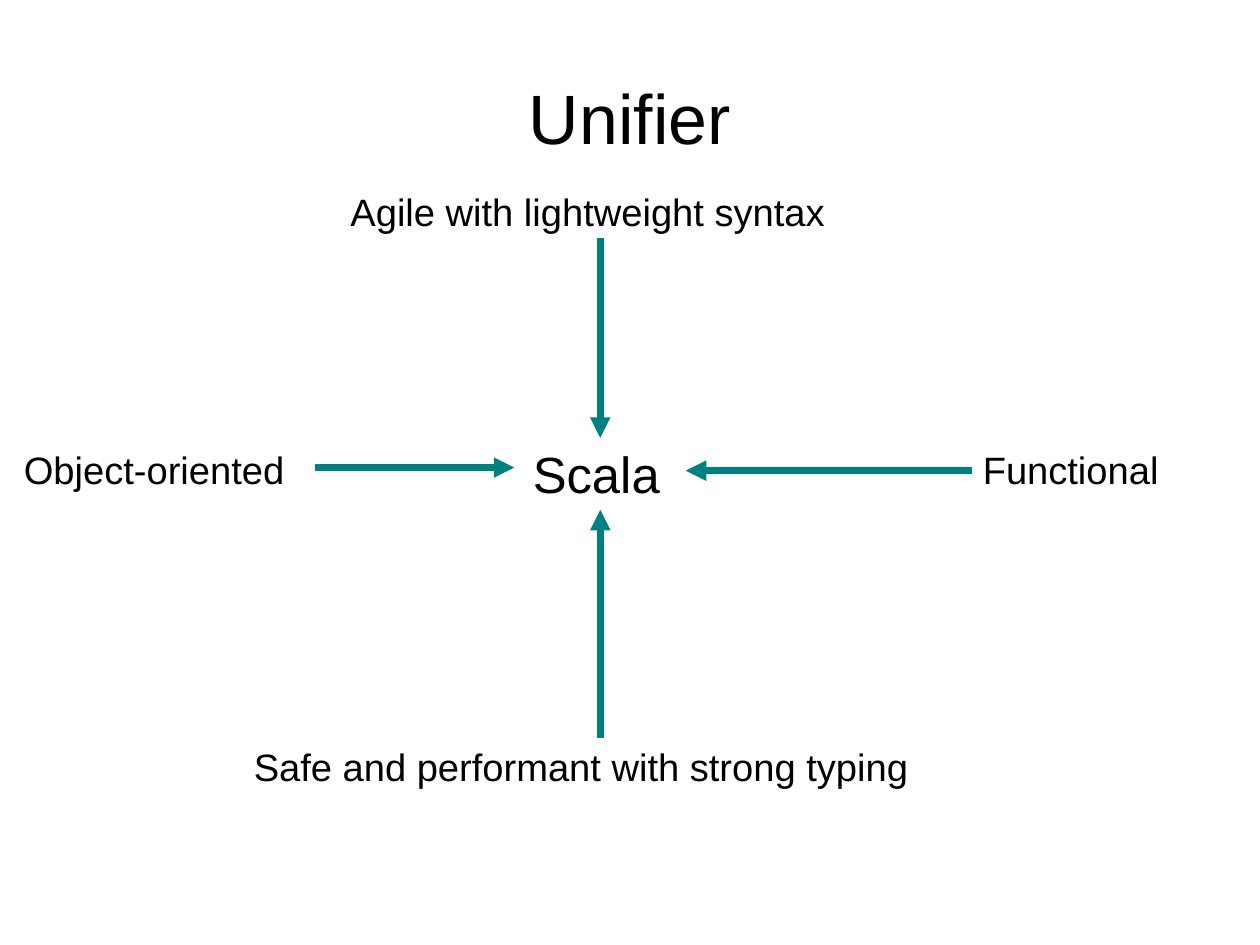
from typing import NamedTuple

from lxml.etree import SubElement
from pptx import Presentation
from pptx.dml.color import RGBColor
from pptx.enum.shapes import MSO_CONNECTOR
from pptx.enum.text import MSO_ANCHOR, PP_ALIGN
from pptx.oxml.ns import qn
from pptx.slide import Slide
from pptx.text.text import TextFrame
from pptx.util import Cm, Pt

COLORS = {"text": "000000", "arrow": "008080"}
FONT = "Arial"
LABEL_HEIGHT = 1.52
CENTER_X = 13.34


class Label(NamedTuple):
    text: str
    left: float
    top: float
    width: float
    size: float = 24
    align: PP_ALIGN = PP_ALIGN.LEFT


class Arrow(NamedTuple):
    start_x: float
    start_y: float
    end_x: float
    end_y: float


LABELS = [
    Label("Agile with lightweight syntax", 5.44, 4.19, 15.24, align=PP_ALIGN.CENTER),
    Label("Functional", 21.84, 9.91, 4.52),
    Label("Scala", 11.84, 9.83, 4.52, size=32),
    Label("Safe and performant with strong typing", 5.64, 16.51, 14.73),
    Label("Object-oriented", 0.53, 9.91, 6.35),
]

ARROWS = [
    Arrow(CENTER_X, 5.28, CENTER_X, 9.73),
    Arrow(CENTER_X, 16.41, CENTER_X, 11.33),
    Arrow(21.59, 10.46, 15.24, 10.46),
    Arrow(6.99, 10.39, 11.43, 10.39),
]


def write_text(frame: TextFrame, text: str, *, size: float, align: PP_ALIGN,
               anchor: MSO_ANCHOR = MSO_ANCHOR.TOP) -> None:
    """Fill a text frame with one formatted paragraph."""
    frame.margin_left = frame.margin_top = frame.margin_right = frame.margin_bottom = 0
    frame.word_wrap = True
    frame.vertical_anchor = anchor
    paragraph = frame.paragraphs[0]
    paragraph.alignment = align
    run = paragraph.add_run()
    run.text = text
    run.font.name = FONT
    run.font.size = Pt(size)
    run.font.color.rgb = RGBColor.from_string(COLORS["text"])


def set_title(slide: Slide, text: str) -> None:
    """Place and format the title placeholder."""
    title = slide.shapes.title
    title.left, title.top, title.width, title.height = Cm(1.4), Cm(0.84), Cm(25.2), Cm(3.5)
    write_text(title.text_frame, text, size=44, align=PP_ALIGN.CENTER, anchor=MSO_ANCHOR.MIDDLE)


def draw_label(slide: Slide, label: Label) -> None:
    """Add one text label."""
    box = slide.shapes.add_textbox(Cm(label.left), Cm(label.top), Cm(label.width), Cm(LABEL_HEIGHT))
    write_text(box.text_frame, label.text, size=label.size, align=label.align)


def draw_arrow(slide: Slide, arrow: Arrow) -> None:
    """Add one line with a triangular head at its end."""
    connector = slide.shapes.add_connector(MSO_CONNECTOR.STRAIGHT, *map(Cm, arrow))
    connector.line.color.rgb = RGBColor.from_string(COLORS["arrow"])
    connector.line.width = Pt(4.31)
    properties = connector._element.spPr
    SubElement(properties.find(qn("a:ln")), qn("a:tailEnd"), type="triangle")
    SubElement(properties, qn("a:effectLst"))


def main() -> None:
    """Build and save the slide."""
    presentation = Presentation()
    presentation.slide_width, presentation.slide_height = Cm(28), Cm(21)
    slide = presentation.slides.add_slide(presentation.slide_layouts.get_by_name("Title Only"))
    set_title(slide, "Unifier")
    for label in LABELS:
        draw_label(slide, label)
    for arrow in ARROWS:
        draw_arrow(slide, arrow)
    presentation.save("out.pptx")


if __name__ == "__main__":
    main()
